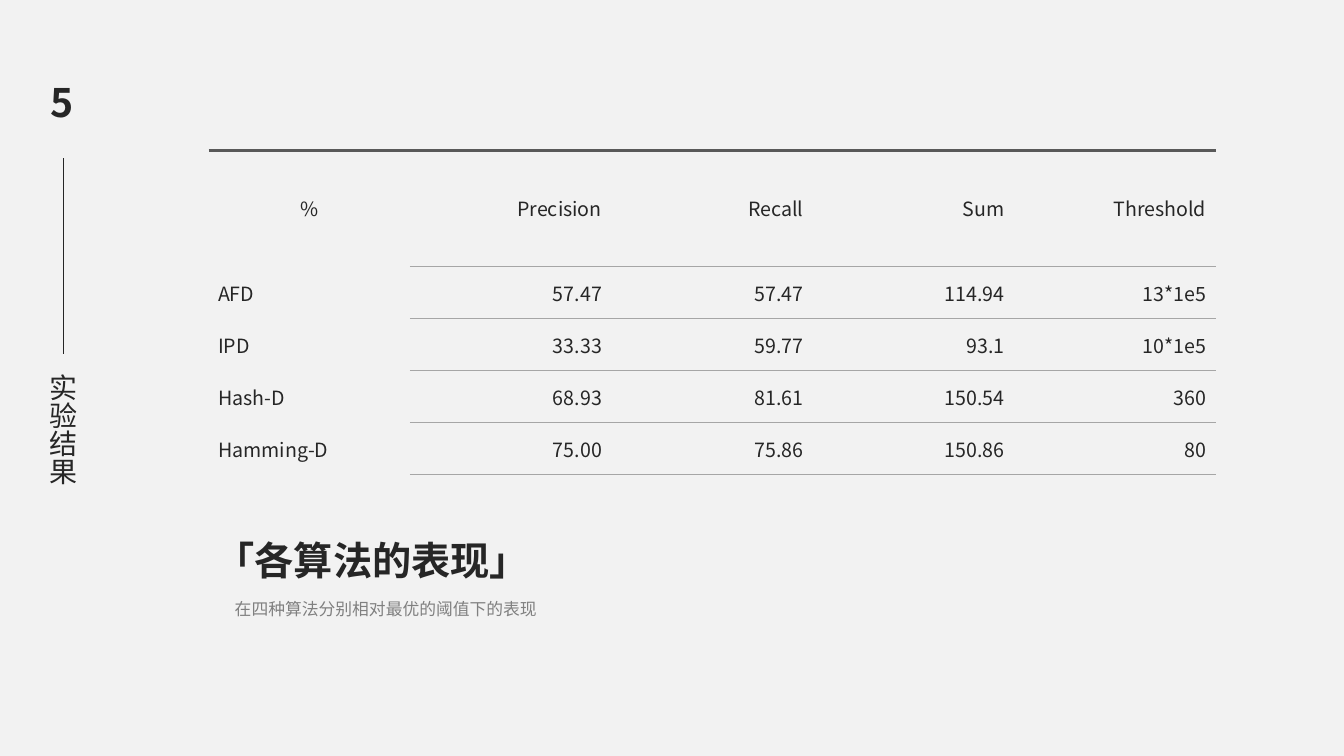
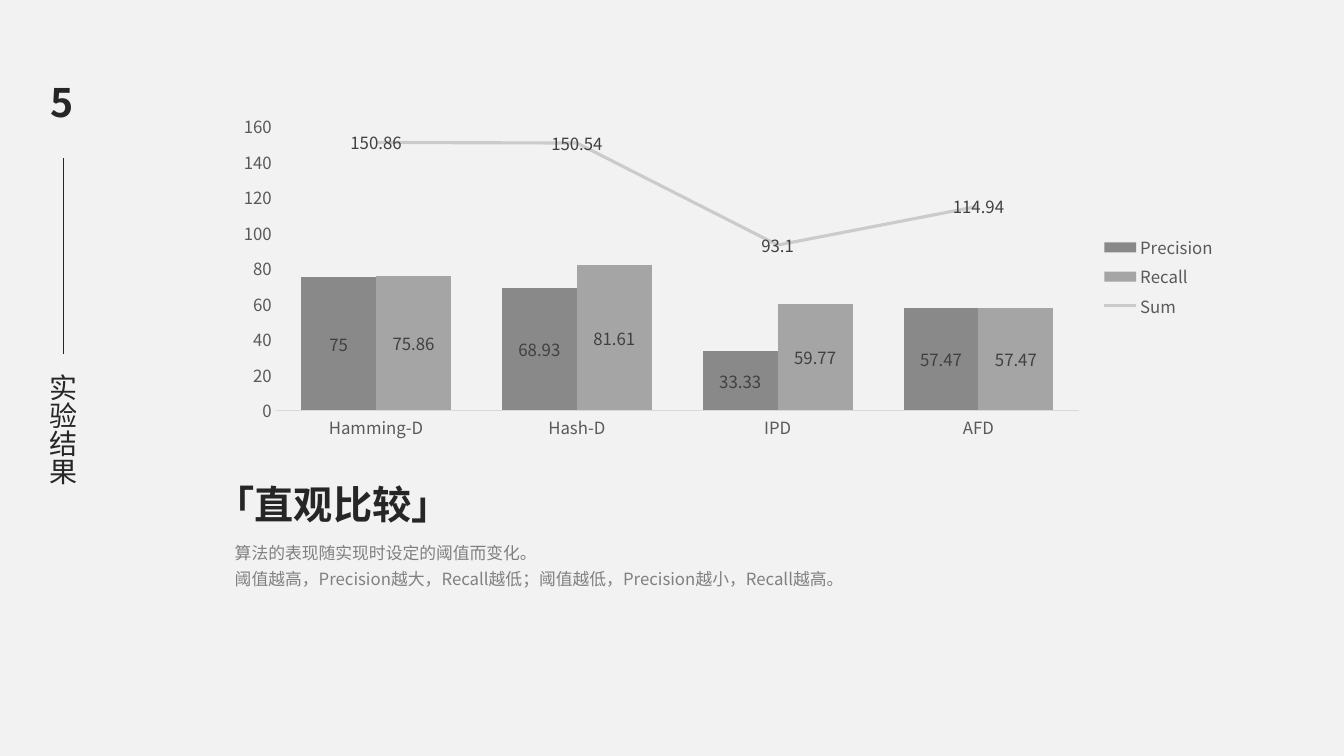
from dataclasses import dataclass
from typing import NamedTuple

from lxml.etree import SubElement
from pptx import Presentation
from pptx.chart.chart import Chart
from pptx.chart.data import CategoryChartData
from pptx.dml.color import RGBColor as Rgb
from pptx.enum.chart import XL_CHART_TYPE as ChartType
from pptx.enum.chart import XL_LABEL_POSITION as LabelPos
from pptx.enum.chart import XL_LEGEND_POSITION as LegendPos
from pptx.enum.chart import XL_MARKER_STYLE as Marker
from pptx.enum.chart import XL_TICK_MARK as Tick
from pptx.enum.shapes import MSO_CONNECTOR as Connector
from pptx.enum.text import MSO_ANCHOR as Anchor
from pptx.enum.text import MSO_AUTO_SIZE as AutoSize
from pptx.enum.text import PP_ALIGN as Align
from pptx.oxml import parse_xml
from pptx.oxml.ns import nsdecls, qn
from pptx.slide import Slide
from pptx.util import Pt


# Theme
class Style(NamedTuple):
    size: float
    color: str
    bold: bool = False


@dataclass(frozen=True)
class Theme:
    font: str = "Noto Sans CJK SC"
    background: str = "F2F2F2"
    ink: str = "262626"
    rule_heavy: str = "595959"
    rule_thin: str = "A6A6A6"
    axis_line: str = "D9D9D9"
    series: tuple[str, ...] = ("898989", "A5A5A5", "CBCBCB")
    heading: Style = Style(28, "262626", True)
    section: Style = Style(20, "262626")
    cell: Style = Style(14, "262626")
    caption: Style = Style(12, "808080")
    axis: Style = Style(12, "595959")
    label: Style = Style(12, "404040")


THEME = Theme()


class Box(NamedTuple):
    left: float
    top: float
    width: float
    height: float


class Border(NamedTuple):
    side: str
    color: str
    width: float


class Score(NamedTuple):
    name: str
    precision: str
    recall: str
    total: str
    threshold: str


# Content
SECTION_NUMBER, SECTION_NAME = "5", "实验结果"
HEADER = Score("%", "Precision", "Recall", "Sum", "Threshold")
SCORES = [
    Score("AFD", "57.47", "57.47", "114.94", "13*1e5"),
    Score("IPD", "33.33", "59.77", "93.1", "10*1e5"),
    Score("Hash-D", "68.93", "81.61", "150.54", "360"),
    Score("Hamming-D", "75.00", "75.86", "150.86", "80"),
]
NO_GRID_STYLE = "{2D5ABB26-0587-4C30-8999-92F81FD0307C}"


# Text helpers
def style_font(font, style: Style) -> None:
    font.name = THEME.font
    font.size = Pt(style.size)
    font.bold = style.bold
    font.color.rgb = Rgb.from_string(style.color)


def write(para, text: str, style: Style, align: Align = Align.LEFT) -> None:
    para.alignment = align
    para.space_before = Pt(0)
    span = para.add_run()
    span.text = text
    style_font(span.font, style)
    SubElement(span._r.get_or_add_rPr(), qn("a:ea"), typeface=THEME.font)


def place(shape, box: Box) -> None:
    shape.left, shape.top, shape.width, shape.height = map(Pt, box)


def fill_section_body(shape, box: Box, text: str, style: Style, align: Align) -> None:
    place(shape, box)
    frame = shape.text_frame
    frame.auto_size = AutoSize.NONE
    frame.vertical_anchor = Anchor.MIDDLE
    para = frame.paragraphs[0]
    properties = para._p.get_or_add_pPr()
    properties.set("marL", "0")
    properties.set("indent", "0")
    SubElement(properties, qn("a:buNone"))
    write(para, text, style, align)


# Parts shared by the slides
def add_page(deck, heading: str, heading_top: float, captions: list[str]) -> Slide:
    page = deck.slides.add_slide(deck.slide_layouts.get_by_name("Two Content"))
    title, number, section = page.placeholders

    # Section marker on the left
    rule = page.shapes.add_connector(
        Connector.STRAIGHT, Pt(45.36), Pt(113), Pt(45.36), Pt(252.7))
    rule.line.color.rgb = Rgb.from_string(THEME.ink)
    rule.line.width = Pt(0.5)
    SubElement(rule._element.spPr, qn("a:effectLst"))
    fill_section_body(number, Box(17.3, 43.9, 54.7, 57.6), SECTION_NUMBER,
                      THEME.heading, Align.CENTER)
    fill_section_body(section, Box(23, 263.5, 43.2, 234.7), SECTION_NAME,
                      THEME.section, Align.LEFT)
    section.text_frame._txBody.bodyPr.set("vert", "eaVert")

    # Heading and caption
    place(title, Box(146.9, heading_top, 326.2, 41))
    title.text_frame.auto_size = AutoSize.SHAPE_TO_FIT_TEXT
    title.text_frame.vertical_anchor = Anchor.TOP
    write(title.text_frame.paragraphs[0], heading, THEME.heading)

    caption_box = Box(160.6, heading_top + 40.4, 715.7, 5.8 + 18.7 * len(captions))
    frame = page.shapes.add_textbox(*map(Pt, caption_box)).text_frame
    frame.word_wrap = True
    frame.auto_size = AutoSize.SHAPE_TO_FIT_TEXT
    for index, caption in enumerate(captions):
        para = frame.add_paragraph() if index else frame.paragraphs[0]
        para.line_spacing = 1.3
        write(para, caption, THEME.caption)
    return page


# Table
def set_borders(cell, borders: list[Border]) -> None:
    properties = cell._tc.get_or_add_tcPr()
    for border in borders:
        line = SubElement(properties, qn(f"a:{border.side}"), w=str(int(Pt(border.width))))
        fill = SubElement(line, qn("a:solidFill"))
        SubElement(fill, qn("a:srgbClr"), val=border.color)


def cell_borders(row: int, column: int) -> list[Border]:
    borders = []
    if row == 0:
        borders.append(Border("lnT", THEME.rule_heavy, 2.25))
    elif column:
        borders.append(Border("lnT", THEME.rule_thin, 1))
    if column:
        borders.append(Border("lnB", THEME.rule_thin, 1))
    return borders


def add_score_table(page: Slide, box: Box, header_height: float) -> None:
    rows = [HEADER, *SCORES]
    table = page.shapes.add_table(len(rows), len(HEADER), *map(Pt, box)).table
    table.first_row = table.horz_banding = False
    table._tbl.tblPr.find(qn("a:tableStyleId")).text = NO_GRID_STYLE
    for column in table.columns:
        column.width = Pt(box.width / len(HEADER))
    for row_index, score in enumerate(rows):
        table.rows[row_index].height = Pt(
            (box.height - header_height) / len(SCORES) if row_index else header_height)
        for column_index, text in enumerate(score):
            cell = table.cell(row_index, column_index)
            cell.margin_left = cell.margin_right = Pt(6.75)
            cell.margin_top = cell.margin_bottom = Pt(3.6)
            cell.vertical_anchor = Anchor.MIDDLE
            set_borders(cell, cell_borders(row_index, column_index))
            cell.fill.background()
            first_align = Align.LEFT if row_index else Align.CENTER
            write(cell.text_frame.paragraphs[0], text, THEME.cell,
                  Align.RIGHT if column_index else first_align)


# Chart
def move_last_series_to_line(chart: Chart) -> None:
    bars = chart.plots[0]._element
    series = bars.findall(qn("c:ser"))[-1]
    for bar_only in series.findall(qn("c:invertIfNegative")):
        series.remove(bar_only)
    lines = parse_xml(
        f'<c:lineChart {nsdecls("c")}><c:grouping val="standard"/>'
        '<c:varyColors val="0"/></c:lineChart>')
    lines.append(series)
    SubElement(lines, qn("c:marker"), val="1")
    for axis in bars.findall(qn("c:axId")):
        SubElement(lines, qn("c:axId"), val=axis.get("val"))
    bars.addnext(lines)


def add_score_chart(page: Slide, box: Box) -> None:
    scores = SCORES[::-1]
    data = CategoryChartData()
    data.categories = [score.name for score in scores]
    for field in ("precision", "recall", "total"):
        data.add_series(getattr(HEADER, field),
                        [float(getattr(score, field)) for score in scores])
    chart = page.shapes.add_chart(
        ChartType.COLUMN_CLUSTERED, *map(Pt, box), data).chart
    chart.has_title = False
    style_font(chart.font, THEME.axis)
    chart.has_legend = True
    chart.legend.position = LegendPos.RIGHT
    chart.legend.include_in_layout = False
    style_font(chart.legend.font, THEME.axis)

    # Axes
    for axis in (chart.category_axis, chart.value_axis):
        axis.major_tick_mark = axis.minor_tick_mark = Tick.NONE
        axis.has_major_gridlines = False
        style_font(axis.tick_labels.font, THEME.axis)
    chart.category_axis.format.line.color.rgb = Rgb.from_string(THEME.axis_line)
    chart.category_axis.format.line.width = Pt(0.75)
    values = chart.value_axis
    values.format.line.fill.background()
    values.minimum_scale, values.maximum_scale, values.major_unit = 0, 160, 20

    # Columns and line
    move_last_series_to_line(chart)
    columns, lines = chart.plots
    columns.gap_width, columns.overlap = 68, 0
    columns.vary_by_categories = False
    for series, color in zip(columns.series, THEME.series):
        series.format.fill.solid()
        series.format.fill.fore_color.rgb = Rgb.from_string(color)
    total = lines.series[0]
    total.smooth = False
    total.marker.style = Marker.NONE
    total.format.line.color.rgb = Rgb.from_string(THEME.series[-1])
    total.format.line.width = Pt(2.25)
    for series in (*columns.series, total):
        labels = series.data_labels
        labels.show_value = True
        labels.position = LabelPos.CENTER
        style_font(labels.font, THEME.label)


def main() -> None:
    deck = Presentation()
    deck.slide_width, deck.slide_height = Pt(960), Pt(540)
    background = deck.slide_master.background.fill
    background.solid()
    background.fore_color.rgb = Rgb.from_string(THEME.background)

    # Slide 1: scores as a table
    page = add_page(deck, "「各算法的表现」", 379.4,
                    ["在四种算法分别相对最优的阈值下的表现"])
    add_score_table(page, Box(149, 107.3, 719.3, 231.8), 83)

    # Slide 2: scores as a chart
    page = add_page(deck, "「直观比较」", 339.1, [
        "算法的表现随实现时设定的阈值而变化。",
        "阈值越高，Precision越大，Recall越低；阈值越低，Precision越小，Recall越高。",
    ])
    add_score_chart(page, Box(159.8, 76.3, 716.4, 242.6))
    deck.save("out.pptx")


if __name__ == "__main__":
    main()
